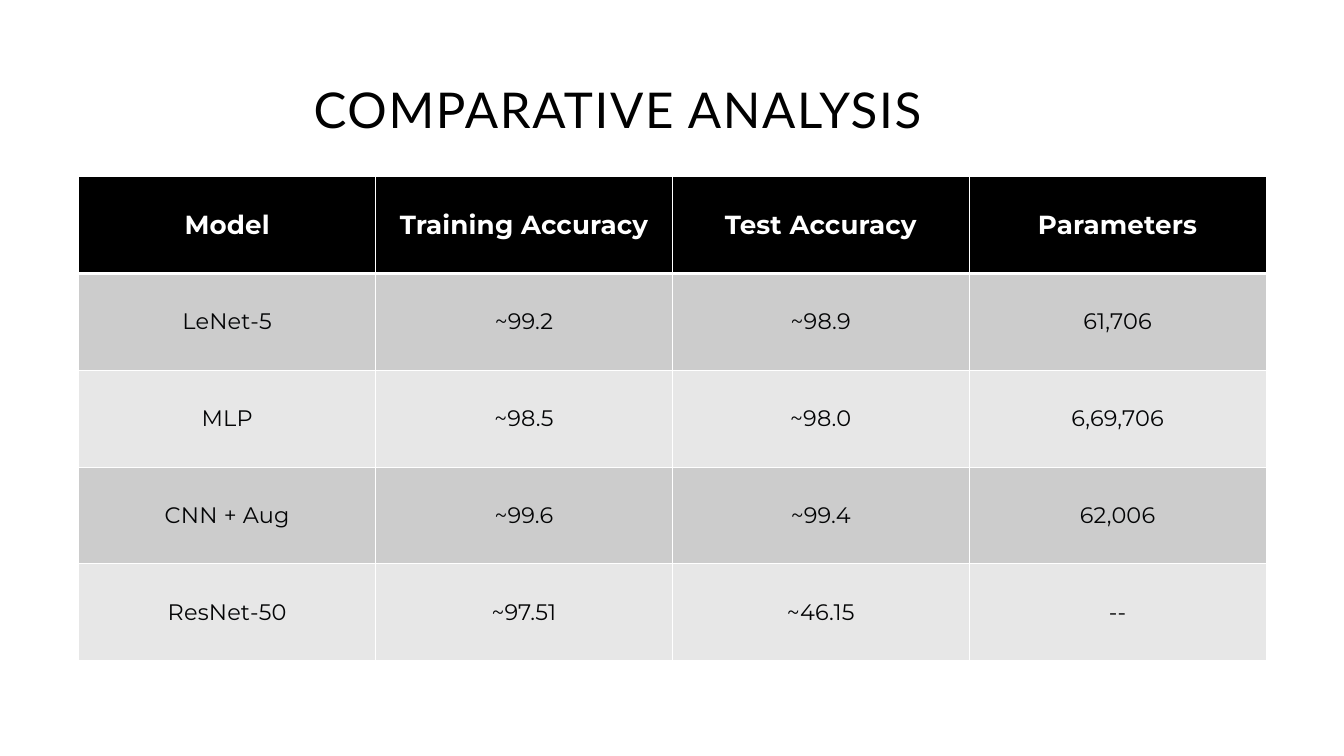
from lxml import etree
from pptx import Presentation
from pptx.dml.color import RGBColor
from pptx.enum.text import MSO_ANCHOR, MSO_AUTO_SIZE, PP_ALIGN
from pptx.oxml.ns import qn
from pptx.util import Pt

CENTER = PP_ALIGN.CENTER
LEFT = PP_ALIGN.LEFT
MIDDLE = MSO_ANCHOR.MIDDLE
GROW = MSO_AUTO_SIZE.SHAPE_TO_FIT_TEXT

WHITE = RGBColor(0xFF, 0xFF, 0xFF)
BLACK = RGBColor(0, 0, 0)
INK = RGBColor(0x04, 0x05, 0x06)
TITLE_INK = RGBColor(0x01, 0x01, 0x01)
DARK = RGBColor(0xCC, 0xCC, 0xCC)
LIGHT = RGBColor(0xE7, 0xE7, 0xE7)

TITLE = {"name": "Lato", "size": Pt(52.8), "bold": False}
HEAD = {"name": "Montserrat", "size": Pt(28), "bold": True}
BODY = {"name": "Montserrat", "size": Pt(24), "bold": False}

ROWS = [
    ["Model", "Training Accuracy", "Test Accuracy", "Parameters"],
    ["LeNet-5", "~99.2", "~98.9", "61,706"],
    ["MLP", "~98.5", "~98.0", "6,69,706"],
    ["CNN + Aug", "~99.6", "~99.4", "62,006"],
    ["ResNet-50", "~97.51", "~46.15", "--"],
]
COL_W = Pt(318)
ROW_H = Pt(103.8)


def add_text(para, text, style, color, track, align):
    para.alignment = align
    run = para.add_run()
    run.text = text
    for key, value in style.items():
        setattr(run.font, key, value)
    run.font.color.rgb = color
    run.font._element.set("spc", str(track))


def add_edges(cell, widths):
    props = cell._tc.get_or_add_tcPr()
    for side, width in widths.items():
        line = etree.SubElement(props, qn(f"a:ln{side}"), w=str(Pt(width)))
        fill = etree.SubElement(line, qn("a:solidFill"))
        etree.SubElement(fill, qn("a:srgbClr"), val=str(WHITE))


def fill_cell(cell, text, row):
    head = row == 0
    add_edges(cell, {"L": 1, "R": 1, "T": 3 if row == 1 else 1, "B": 3 if head else 1})
    cell.fill.solid()
    cell.fill.fore_color.rgb = BLACK if head else DARK if row % 2 else LIGHT
    cell.vertical_anchor = MIDDLE
    style, color = (HEAD, WHITE) if head else (BODY, INK)
    add_text(cell.text_frame.paragraphs[0], text, style, color, 20, CENTER)


def add_grid(slide, left, top):
    rows, cols = len(ROWS), len(ROWS[0])
    frame = slide.shapes.add_table(rows, cols, left, top, COL_W * cols, ROW_H * rows)
    table = frame.table
    for col in table.columns:
        col.width = COL_W
    for r, texts in enumerate(ROWS):
        table.rows[r].height = ROW_H
        for c, text in enumerate(texts):
            fill_cell(table.cell(r, c), text, r)


def add_title(slide, text, left, top, width, height):
    frame = slide.shapes.add_textbox(left, top, width, height).text_frame
    layout = {"word_wrap": True, "auto_size": GROW, "margin_left": 0,
              "margin_right": 0, "margin_top": 0, "margin_bottom": 0}
    for key, value in layout.items():
        setattr(frame, key, value)
    para = frame.paragraphs[0]
    para.line_spacing = Pt(72.9)
    add_text(para, text, TITLE, TITLE_INK, 180, LEFT)


def main():
    deck = Presentation()
    deck.slide_width = Pt(1440)
    deck.slide_height = Pt(810)
    slide = deck.slides.add_slide(deck.slide_layouts[6])
    add_grid(slide, Pt(84.4), Pt(189))
    add_title(slide, "COMPARATIVE ANALYSIS", Pt(336), Pt(75), Pt(910), Pt(70.6))
    deck.save("out.pptx")


if __name__ == "__main__":
    main()
